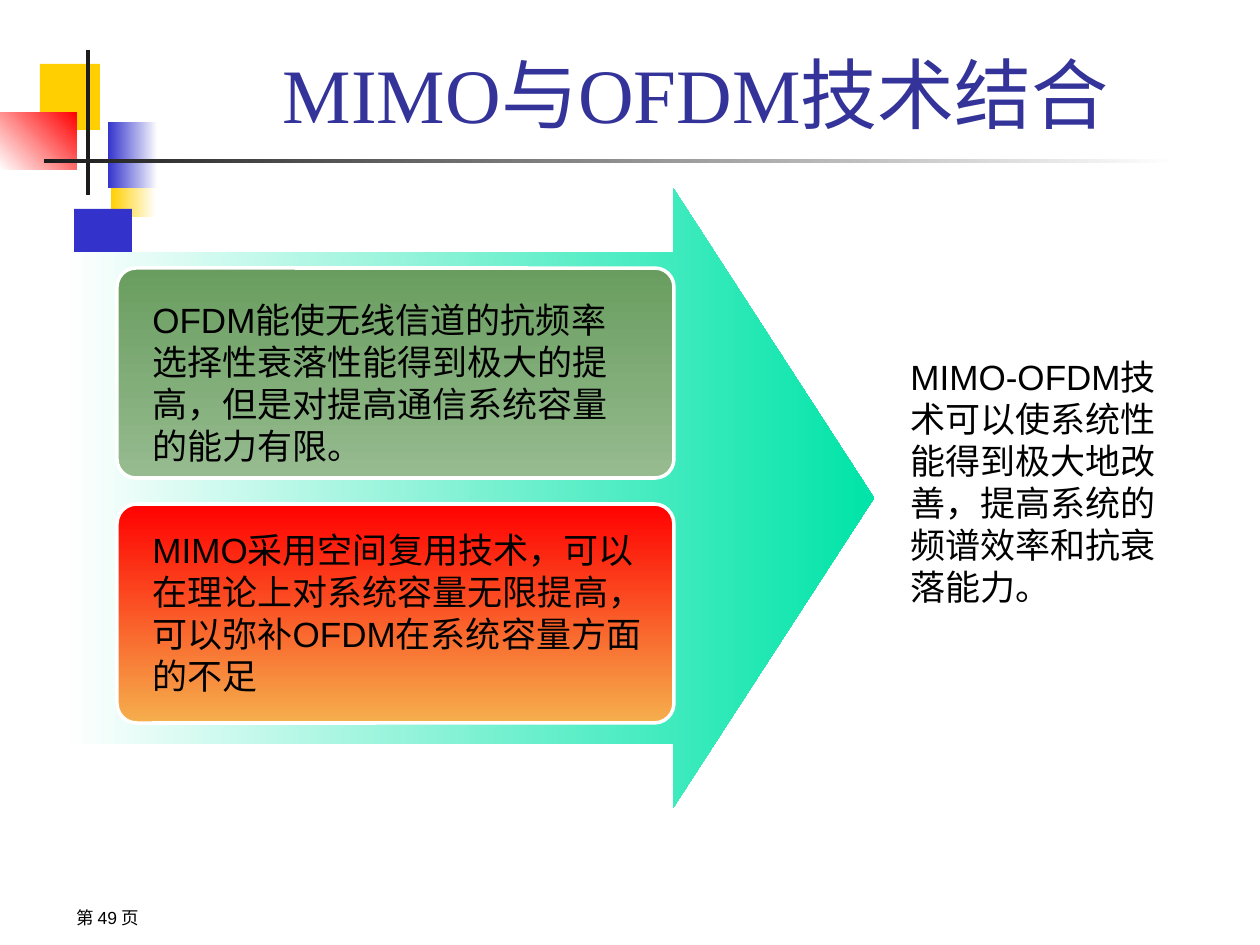
from dataclasses import dataclass
from typing import Optional

import pptx
import pptx.dml.color
import pptx.enum.shapes
import pptx.enum.text
import pptx.util

RGBColor = pptx.dml.color.RGBColor
Preset = pptx.enum.shapes.MSO_SHAPE
Align = pptx.enum.text.PP_ALIGN
Anchor = pptx.enum.text.MSO_ANCHOR

EMU_PER_PX = 914400 / 126
RIGHT, UP_RIGHT, DOWN = 0, 45, 270

WHITE = RGBColor(0xFF, 0xFF, 0xFF)
BLACK = RGBColor(0x00, 0x00, 0x00)
CHARCOAL = RGBColor(0x1C, 0x1C, 0x1C)
YELLOW = RGBColor(0xFF, 0xCF, 0x01)
BLUE = RGBColor(0x33, 0x33, 0xCC)
NAVY = RGBColor(0x33, 0x33, 0x99)
RED = RGBColor(0xFF, 0x00, 0x00)
ORANGE = RGBColor(0xF5, 0xAF, 0x4D)
GREEN = RGBColor(0x69, 0x9D, 0x5F)
LIGHT_GREEN = RGBColor(0x96, 0xBB, 0x8F)
MINT = RGBColor(0x00, 0xE4, 0xA8)


@dataclass(frozen=True)
class Area:
    left: int
    top: int
    width: int
    height: int

    def emu(self) -> list[int]:
        return [px(v) for v in (self.left, self.top, self.width, self.height)]


@dataclass(frozen=True)
class Block:
    area: Area
    start: RGBColor
    end: Optional[RGBColor] = None
    angle: int = RIGHT
    preset: Preset = Preset.RECTANGLE
    adjustments: tuple[float, ...] = ()
    outline: Optional[RGBColor] = None


@dataclass(frozen=True)
class Note:
    area: Area
    text: str
    size: int = 20


def px(value: int) -> int:
    return round(value * EMU_PER_PX)


def draw_block(page, block: Block) -> None:
    shape = page.shapes.add_shape(block.preset, *block.area.emu())
    shape.shadow.inherit = False
    for index, value in enumerate(block.adjustments):
        shape.adjustments[index] = value
    if block.end is None:
        shape.fill.solid()
        shape.fill.fore_color.rgb = block.start
    else:
        shape.fill.gradient()
        shape.fill.gradient_angle = block.angle
        for stop, color in zip(shape.fill.gradient_stops, (block.start, block.end)):
            stop.color.rgb = color
    if block.outline is None:
        shape.line.fill.background()
    else:
        shape.line.color.rgb = block.outline
        shape.line.width = pptx.util.Pt(2)


def write_text(frame, text: str, *, size: int, font: str = "Arial",
               color: RGBColor = BLACK, align: Align = Align.LEFT,
               anchor: Anchor = Anchor.TOP) -> None:
    frame.word_wrap = True
    frame.auto_size = pptx.enum.text.MSO_AUTO_SIZE.NONE
    frame.vertical_anchor = anchor
    para = frame.paragraphs[0]
    para.alignment = align
    span = para.add_run()
    span.text = text
    span.font.size = pptx.util.Pt(size)
    span.font.name = font
    span.font.color.rgb = color


def draw_note(page, note: Note) -> None:
    box = page.shapes.add_textbox(*note.area.emu())
    write_text(box.text_frame, note.text, size=note.size)


def draw_title(page, area: Area, text: str) -> None:
    title = page.shapes.title
    title.left, title.top, title.width, title.height = area.emu()
    write_text(title.text_frame, text, size=44, font="Times New Roman",
               color=NAVY, align=Align.CENTER, anchor=Anchor.MIDDLE)


def card(top: int, height: int, start: RGBColor, end: RGBColor) -> Block:
    return Block(Area(117, top, 557, height), start, end, DOWN,
                 Preset.ROUNDED_RECTANGLE, (0.09,), WHITE)


ORNAMENTS = (
    Block(Area(111, 151, 45, 66), YELLOW, WHITE),
    Block(Area(74, 209, 58, 66), BLUE),
    Block(Area(40, 64, 60, 66), YELLOW),
    Block(Area(108, 122, 50, 66), BLUE, WHITE),
    Block(Area(0, 112, 77, 58), WHITE, RED, UP_RIGHT),
    Block(Area(86, 50, 4, 145), CHARCOAL),
    Block(Area(44, 159, 1134, 4), CHARCOAL, WHITE),
)

DIAGRAM = (
    Block(Area(64, 188, 810, 620), WHITE, MINT,
          preset=Preset.RIGHT_ARROW, adjustments=(0.793, 0.324)),
    card(268, 210, GREEN, LIGHT_GREEN),
    card(504, 219, RED, ORANGE),
)

NOTES = (
    Note(Area(64, 901, 294, 29), "第 49 页", size=10),
    Note(Area(140, 292, 503, 180),
         "OFDM能使无线信道的抗频率选择性衰落性能得到极大的提高，"
         "但是对提高通信系统容量的能力有限。"),
    Note(Area(140, 522, 533, 180),
         "MIMO采用空间复用技术，可以在理论上对系统容量无限提高，"
         "可以弥补OFDM在系统容量方面的不足"),
    Note(Area(898, 349, 297, 265),
         "MIMO-OFDM技术可以使系统性能得到极大地改善，"
         "提高系统的频谱效率和抗衰落能力。"),
)


def main() -> None:
    deck = pptx.Presentation()
    deck.slide_width, deck.slide_height = px(1260), px(945)
    page = deck.slides.add_slide(deck.slide_layouts[5])
    draw_title(page, Area(159, 29, 1074, 127), "MIMO与OFDM技术结合")
    for block in ORNAMENTS + DIAGRAM:
        draw_block(page, block)
    for note in NOTES:
        draw_note(page, note)
    deck.save("out.pptx")


if __name__ == "__main__":
    main()
